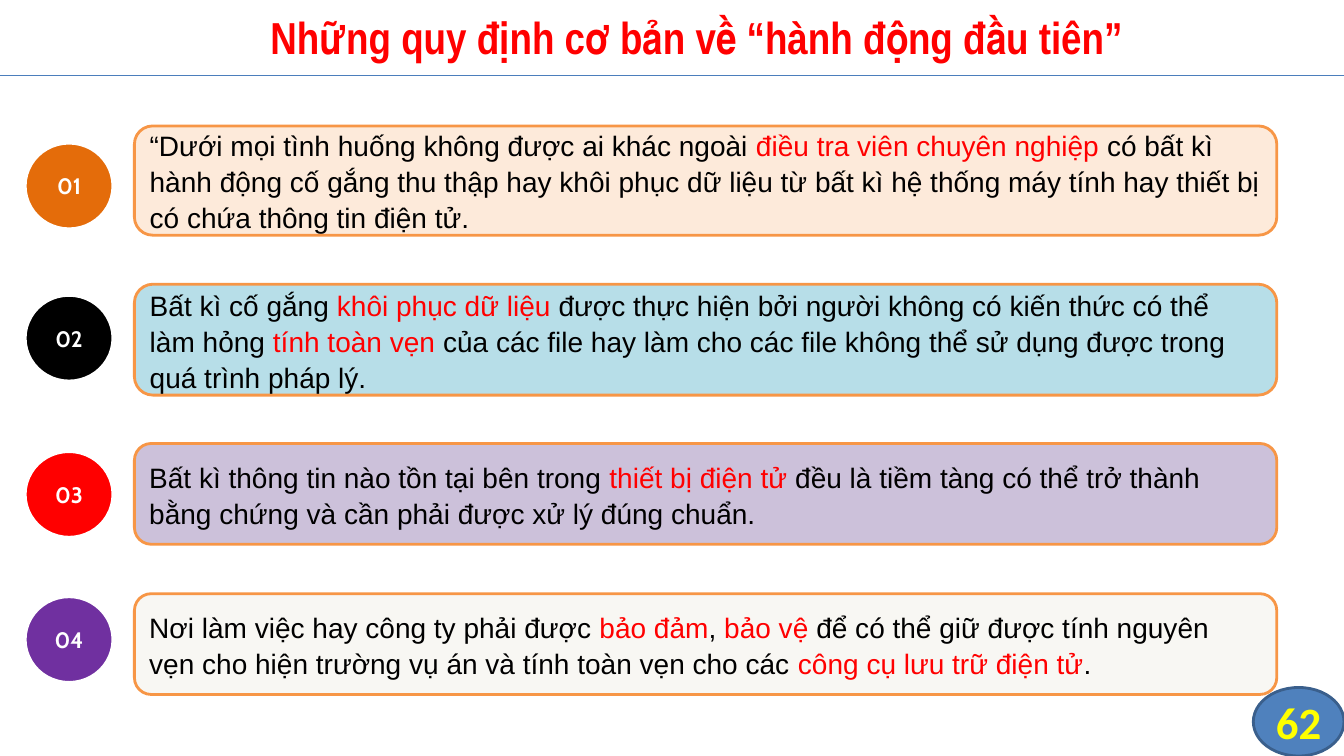
from lxml import etree
from pptx import Presentation
from pptx.dml.color import RGBColor
from pptx.enum.shapes import MSO_CONNECTOR, MSO_SHAPE
from pptx.enum.text import MSO_ANCHOR, PP_ALIGN
from pptx.oxml.ns import qn
from pptx.util import Inches, Pt

LEFT, CENTER = PP_ALIGN.LEFT, PP_ALIGN.CENTER
MIDDLE = MSO_ANCHOR.MIDDLE
ROUNDED, OVAL = MSO_SHAPE.ROUNDED_RECTANGLE, MSO_SHAPE.OVAL
CONNECTOR = MSO_SHAPE.FLOWCHART_CONNECTOR
STRAIGHT = MSO_CONNECTOR.STRAIGHT

WIDTH, HEIGHT = 13.33, 7.5
COLS, ROWS = 160, 90

COLORS = {
    "white": "FFFFFF", "black": "000000", "red": "FF0000",
    "yellow": "FFFF00", "orange": "E46C0A", "purple": "7030A0",
    "border": "F79646", "peach": "FDEADA", "aqua": "B7DEE8",
    "lilac": "CCC1DA", "ivory": "F8F7F3", "rule": "4B7EBC",
    "badge": "4F81BD", "badge_line": "3A5F8C",
}
FONTS = {
    "title": {"name": "Arial Narrow", "size": Pt(32), "bold": True},
    "body": {"name": "Arial", "size": Pt(20), "bold": False},
    "number": {"name": "Cabin", "size": Pt(16), "bold": True},
    "page": {"name": "Calibri", "size": Pt(32), "bold": True},
}
BODY_PARAGRAPH = {"alignment": LEFT, "line_spacing": 1.07, "space_after": Pt(8)}
CENTERED = {"alignment": CENTER}
NO_MARGINS = {"margin_left": 0, "margin_right": 0, "margin_top": 0, "margin_bottom": 0}

TITLE = "Những quy định cơ bản về “hành động đầu tiên”"
RULES = [
    (15, 13, "peach", 17.04, "orange",
     "“Dưới mọi tình huống không được ai khác ngoài |điều tra viên chuyên nghiệp |"
     "có bất kì hành động cố gắng thu thập hay khôi phục dữ liệu từ bất kì hệ thống "
     "máy tính hay thiết bị có chứa thông tin điện tử."),
    (33.84, 13.2, "aqua", 35.16, "black",
     "Bất kì cố gắng |khôi phục dữ liệu |được thực hiện bởi người không có kiến thức "
     "có thể làm hỏng |tính toàn vẹn |của các file hay làm cho các file không thể "
     "sử dụng được trong quá trình pháp lý."),
    (52.8, 12, "lilac", 53.76, "red",
     "Bất kì thông tin nào tồn tại bên trong |thiết bị điện tử |đều là tiềm tàng "
     "có thể trở thành bằng chứng và cần phải được xử lý đúng chuẩn."),
    (70.68, 12, "ivory", 71.04, "purple",
     "Nơi làm việc hay công ty phải được |bảo đảm|, |bảo vệ |để có thể giữ được "
     "tính nguyên vẹn cho hiện trường vụ án và tính toàn vẹn cho các |"
     "công cụ lưu trữ điện tử|."),
]


def apply(target, values):
    for name, value in values.items():
        setattr(target, name, value)


class Deck:
    def __init__(self):
        self.prs = Presentation()
        self.prs.slide_width = Inches(WIDTH)
        self.prs.slide_height = Inches(HEIGHT)
        self.s = self.prs.slides.add_slide(self.prs.slide_layouts[6])

    def color(self, name):
        return RGBColor.from_string(COLORS[name])

    def box(self, x, y, w, h):
        col, row = WIDTH / COLS, HEIGHT / ROWS
        return Inches(x * col), Inches(y * row), Inches(w * col), Inches(h * row)

    def put_text(self, sp, text, font, color, paragraph=CENTERED, frame=None):
        tf = sp.text_frame
        apply(tf, {"word_wrap": True, "vertical_anchor": MIDDLE, **(frame or {})})
        p = tf.paragraphs[0]
        apply(p, paragraph)
        for i, part in enumerate(text.split("|")):
            r = p.add_run()
            r.text = part
            apply(r.font, FONTS[font])
            r.font.color.rgb = self.color("red" if i % 2 else color)

    def shape(self, kind, area, fill, line):
        sp = self.s.shapes.add_shape(kind, *self.box(*area))
        sp.shadow.inherit = False
        sp.fill.solid()
        sp.fill.fore_color.rgb = self.color(fill)
        sp.line.color.rgb = self.color(line)
        sp.line.width = Pt(2)
        return sp

    def text(self, area, text, font, color, frame=None):
        sp = self.s.shapes.add_textbox(*self.box(*area))
        self.put_text(sp, text, font, color, frame=frame)

    def rule(self, y, color):
        x, top, w, _ = self.box(0, y, COLS, 0)
        sp = self.s.shapes.add_connector(STRAIGHT, x, top, x + w, top)
        sp.line.color.rgb = self.color(color)
        sp.line.width = Pt(0.75)
        etree.SubElement(sp._element.spPr, qn("a:effectLst"))

    def panel(self, y, h, fill, text):
        sp = self.shape(ROUNDED, (16, y, 136, h), fill, "border")
        self.put_text(sp, text, "body", "black", paragraph=BODY_PARAGRAPH)

    def number(self, y, fill, text):
        sp = self.shape(OVAL, (3, y, 10.44, 10.2), fill, "white")
        self.put_text(sp, text, "number", "white")


def main():
    deck = Deck()
    page_area = (149.2, 81.84, 10.8, 8.16)
    deck.shape(CONNECTOR, page_area, "badge", "badge_line")
    deck.rule(9, "rule")
    deck.text((10, -0.36, 146, 9.36), TITLE, "title", "red")
    deck.text(page_area, "62", "page", "yellow", NO_MARGINS)
    for y, h, fill, _, _, text in RULES:
        deck.panel(y, h, fill, text)
    for i, (_, _, _, y, fill, _) in enumerate(RULES, 1):
        deck.number(y, fill, f"{i:02d}")
    deck.prs.save("out.pptx")


if __name__ == "__main__":
    main()
